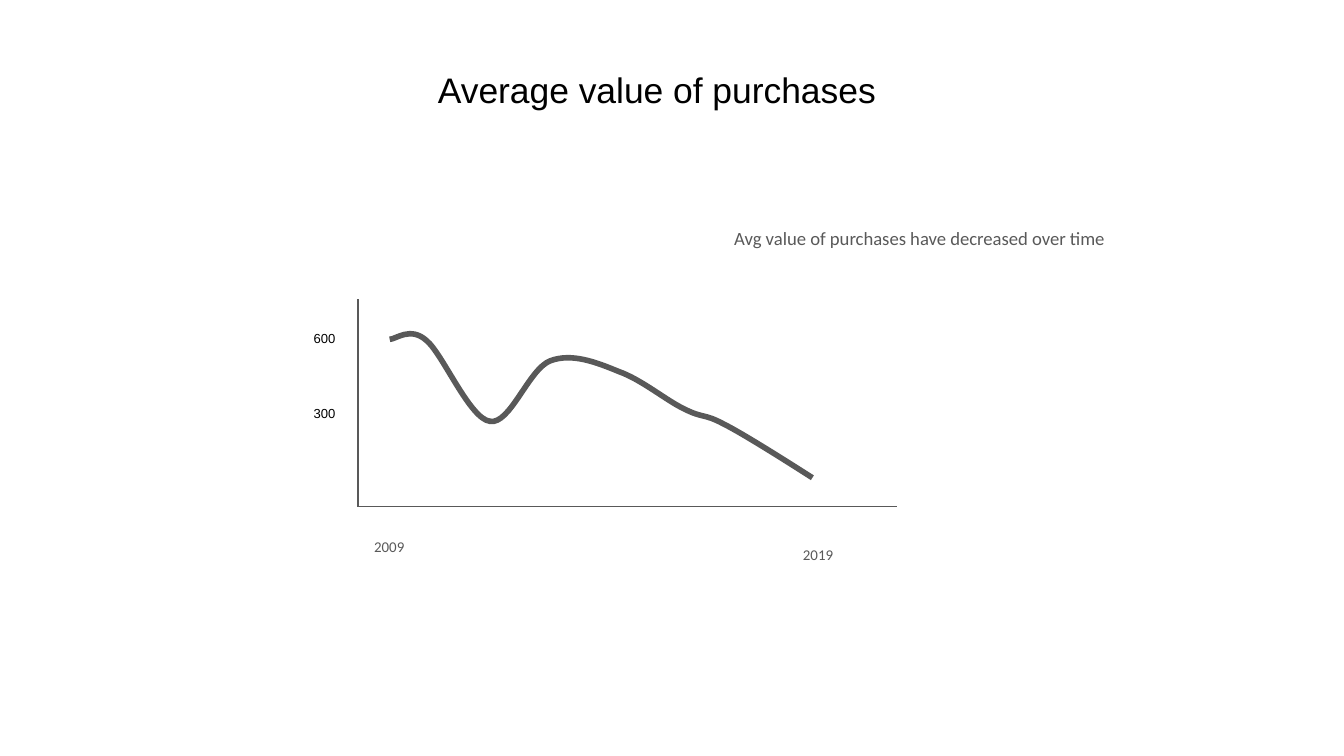
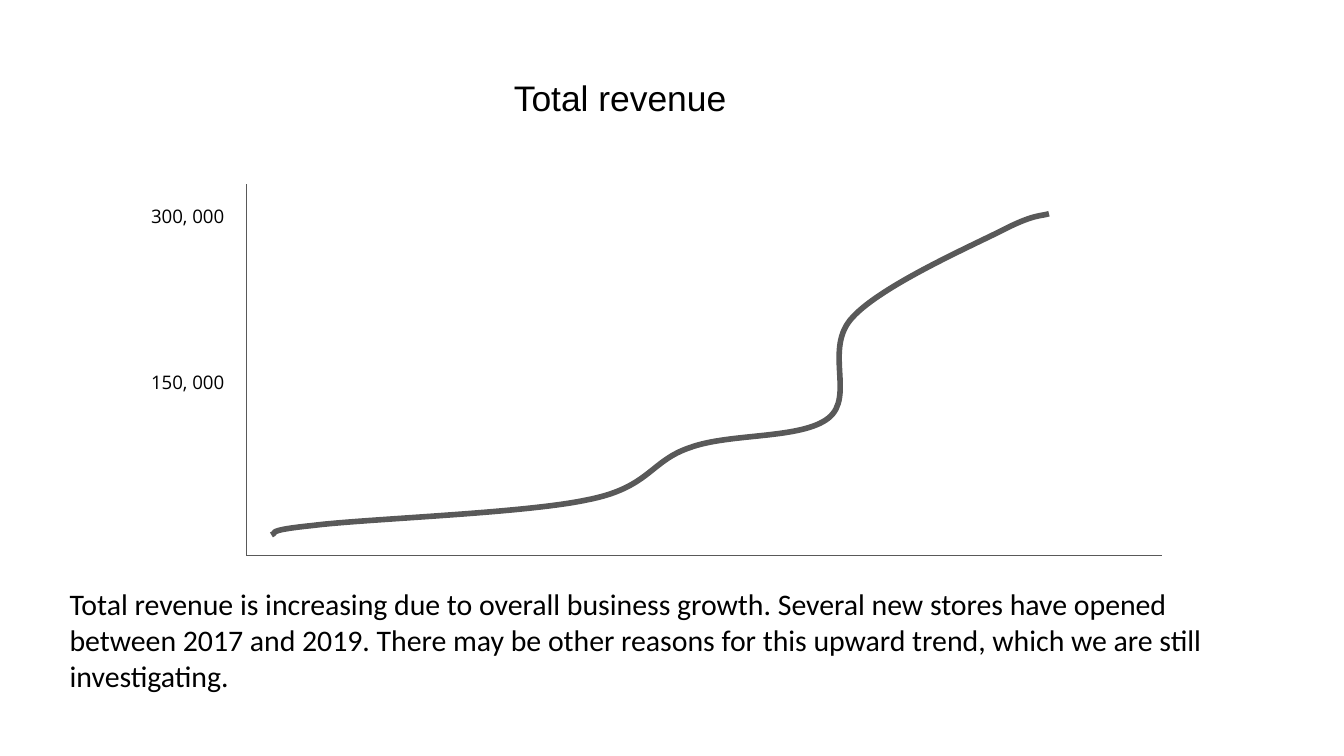
from lxml import etree
from pptx import Presentation
from pptx.dml.color import RGBColor
from pptx.enum.shapes import MSO_CONNECTOR
from pptx.enum.text import MSO_AUTO_SIZE, MSO_ANCHOR, PP_ALIGN
from pptx.oxml.ns import qn
from pptx.util import Inches, Pt

STRAIGHT = MSO_CONNECTOR.STRAIGHT
GROW = MSO_AUTO_SIZE.SHAPE_TO_FIT_TEXT
TOP = MSO_ANCHOR.TOP
LEFT = PP_ALIGN.LEFT

WIDTH = Inches(10)
HEIGHT = WIDTH * 9 // 16
CELL = WIDTH / 100  # square grid cell: the slide is 100 columns wide

COLORS = {"ink": "000000", "grey": "595959", "paper": "FFFFFF"}
STYLES = {  # font, size, colour
    "title": ("Arial", 19, "ink"),
    "note": ("Calibri", 10, "grey"),
    "year": ("Calibri", 8, "grey"),
    "small_value": ("Arial", 7, "ink"),
    "large_value": ("Open Sans", 10, "ink"),
    "body": ("Calibri", 16, "ink"),
}
FRAME = {
    "word_wrap": True, "auto_size": GROW, "vertical_anchor": TOP,
    **{f"margin_{side}": Inches(0.1) for side in ("left", "top", "right", "bottom")},
}

# Boxes are left, top, width, height in cells. Plot labels and curve points
# count from the plot's top left corner. Each curve step holds two control
# points and the point it reaches.
PURCHASES = {
    "title": ("Average value of purchases", (31.6, 4.1, 37.1, 5.2)),
    "plot": (26.65, 22.25, 40.1, 15.45),
    "start": (2.35, 3),
    "curve": [
        ((2.8, 3), (3.9, 2), (5.1, 3.1)),
        ((6.3, 4.1), (8.3, 8.9), (9.8, 9.1)),
        ((11.3, 9.4), (12.7, 5.2), (14.3, 4.6)),
        ((15.9, 4), (17.7, 4.7), (19.4, 5.4)),
        ((21.1, 6), (23, 7.6), (24.3, 8.2)),
        ((25.7, 8.9), (25.7, 8.5), (27.2, 9.3)),
        ((28.8, 10.1), (32.7, 12.6), (33.8, 13.3)),
    ],
    "labels": [
        ("2009", "year", (0.2, 17.1, 4.8, 3.4)),
        ("2019", "year", (32.1, 17.7, 4.8, 3.4)),
        ("Avg value of purchases have decreased over time", "note", (27, -6.2, 30, 3.7)),
        ("600", "small_value", (-4.3, 1.75, 4.8, 3.2)),
        ("300", "small_value", (-4.3, 7.35, 4.8, 3.2)),
    ],
}
REVENUE = {
    "title": ("Total revenue", (37.25, 4.65, 43.2, 5.2)),
    "plot": (18.35, 13.7, 68.1, 27.65),
    "start": (1.85, 26.1),
    "curve": [
        ((2.4, 26), (1, 25.8), (4.9, 25.4)),
        ((8.8, 24.9), (20.6, 24.5), (25.3, 23.5)),
        ((30, 22.6), (30, 20.6), (33, 19.6)),
        ((36, 18.5), (41.3, 19), (43.3, 17.4)),
        ((45.3, 15.8), (42.9, 12.2), (45.1, 9.9)),
        ((47.2, 7.6), (53.7, 4.7), (56.1, 3.5)),
        ((58.6, 2.2), (59.1, 2.4), (59.7, 2.2)),
    ],
    "labels": [
        ("150, 000", "large_value", (-8.1, 13.05, 8.9, 3.7)),
        ("300, 000", "large_value", (-8.1, 0.7, 8.9, 3.7)),
    ],
    "body": (
        "Total revenue is increasing due to overall business growth. Several new "
        "stores have opened between 2017 and 2019. There may be other reasons for "
        "this upward trend, which we are still investigating.",
        (4.2, 42.6, 91.6, 10.2),
    ),
}


def color(name):
    return RGBColor.from_string(COLORS[name])


def cells(*values):
    return [round(value * CELL) for value in values]


def add_text(page, text, style, box):
    frame = page.shapes.add_textbox(*cells(*box)).text_frame
    for name, value in FRAME.items():
        setattr(frame, name, value)
    para = frame.paragraphs[0]
    para.alignment = LEFT
    span = para.add_run()
    span.text = text
    font, size, ink = STYLES[style]
    for name, value in {"name": font, "size": Pt(size)}.items():
        setattr(span.font, name, value)
    span.font.color.rgb = color(ink)


def set_line(shape, width):
    shape.line.color.rgb = color("grey")
    shape.line.width = Pt(width)


def add_axes(page, box):
    """Draw the left and bottom edges of the plot."""
    left, top, width, height = box
    right, bottom = left + width, top + height
    for ends in ((left, top, left, bottom), (left, bottom, right, bottom)):
        axis = page.shapes.add_connector(STRAIGHT, *cells(*ends))
        set_line(axis, 0.75)
        etree.SubElement(axis._element.spPr, qn("a:effectLst"))


def add_curve(page, box, start, steps):
    """Draw a smooth trend line inside the plot."""
    def place(point):
        return cells(box[0] + point[0], box[1] + point[1])

    builder = page.shapes.build_freeform(*place(start))
    builder.add_line_segments([place(step[-1]) for step in steps], close=False)
    curve = builder.convert_to_shape()
    curve.shadow.inherit = False
    curve.fill.background()
    set_line(curve, 3)

    # Turn each straight segment into a cubic one
    segments = list(curve._element.iter(qn("a:lnTo")))
    for segment, step in zip(segments, steps):
        segment.tag = qn("a:cubicBezTo")
        for index, control in enumerate(step[:2]):
            x, y = place(control)
            point = etree.Element(qn("a:pt"), x=str(x - curve.left), y=str(y - curve.top))
            segment.insert(index, point)


def add_trend_page(deck, content):
    page = deck.slides.add_slide(deck.slide_layouts[6])
    page.background.fill.solid()
    page.background.fill.fore_color.rgb = color("paper")
    plot = content["plot"]

    # Plot
    add_curve(page, plot, content["start"], content["curve"])
    add_axes(page, plot)
    for text, style, (left, top, width, height) in content["labels"]:
        add_text(page, text, style, (plot[0] + left, plot[1] + top, width, height))

    # Title and explanation
    for style in ("title", "body"):
        if style in content:
            text, box = content[style]
            add_text(page, text, style, box)


def main():
    deck = Presentation()
    deck.slide_width, deck.slide_height = WIDTH, HEIGHT
    for content in (PURCHASES, REVENUE):
        add_trend_page(deck, content)
    deck.save("out.pptx")


if __name__ == "__main__":
    main()
